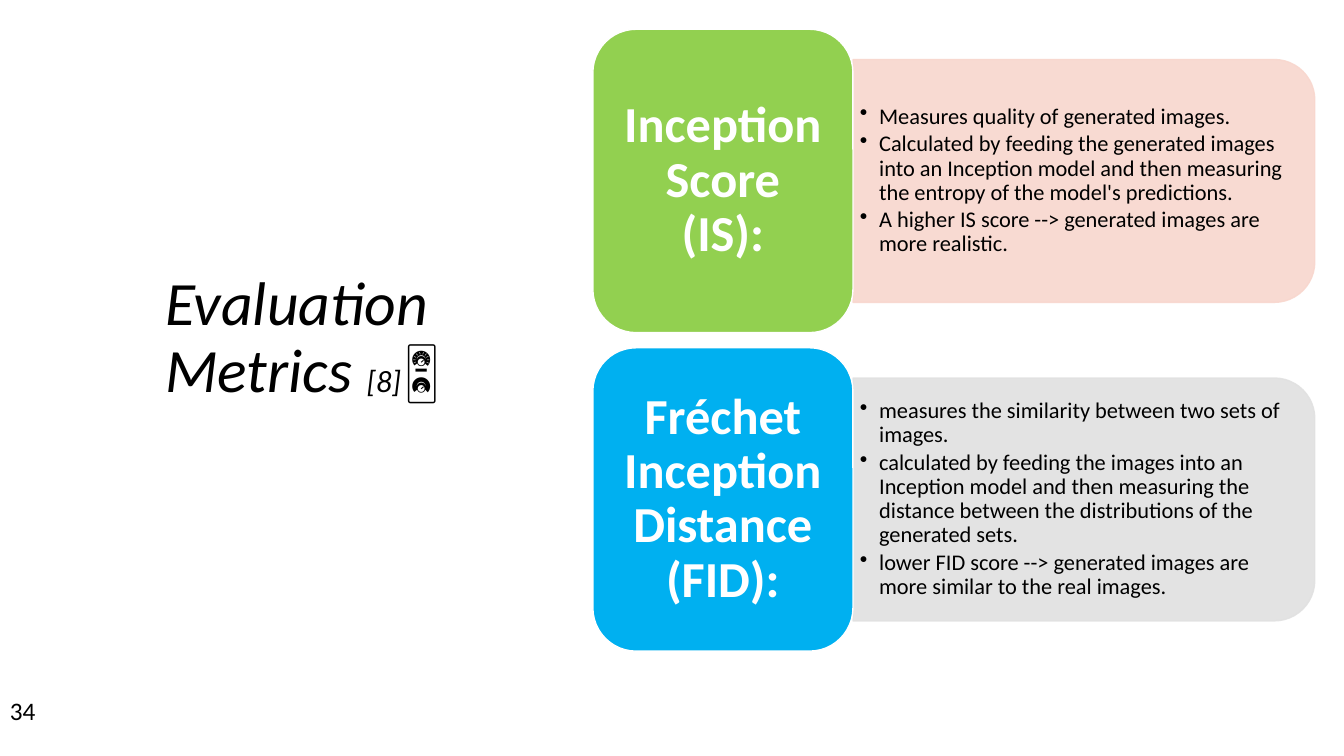
from dataclasses import dataclass

import pptx
import pptx.dml.color
import pptx.enum.shapes
import pptx.enum.text
import pptx.oxml.ns
import pptx.util
from lxml import etree

EMU_PER_PX = 9144  # 100 px to the inch


@dataclass(frozen=True)
class Theme:
    font: str = "Calibri"
    ink: str = "000000"
    paper: str = "FFFFFF"
    title_size: int = 44
    citation_size: int = 22
    name_size: int = 36
    point_size: int = 16
    number_size: int = 18
    line_spacing: float = 0.9
    point_gap: float = 2.4
    panel_alpha: int = 90


@dataclass(frozen=True)
class Metric:
    name: str
    tile_color: str
    panel_color: str
    points: tuple[str, ...]


THEME = Theme()
METRICS = (
    Metric("Inception Score (IS):", "92D050", "F8D7CE", (
        "Measures quality of generated images.",
        "Calculated by feeding the generated images into an Inception model "
        "and then measuring the entropy of the model's predictions.",
        "A higher IS score --> generated images are more realistic.",
    )),
    Metric("Fréchet Inception Distance (FID):", "00B0F0", "E1E1E1", (
        "measures the similarity between two sets of images.",
        "calculated by feeding the images into an Inception model and then "
        "measuring the distance between the distributions of the generated sets.",
        "lower FID score --> generated images are more similar to the real images.",
    )),
)

# Metric rows, in px
ROWS_TOP, ROW_PITCH = 29, 316
TILE_LEFT, TILE_WIDTH, TILE_HEIGHT = 588, 258, 301
PANEL_LEFT, PANEL_WIDTH, PANEL_HEIGHT = TILE_LEFT + TILE_WIDTH, 458, 241
POINTS_WIDTH, POINTS_HEIGHT = 446, 217
BULLET_INDENT = 19


def px(length: float) -> pptx.util.Emu:
    return pptx.util.Emu(round(length * EMU_PER_PX))


def rgb(color: str) -> pptx.dml.color.RGBColor:
    return pptx.dml.color.RGBColor.from_string(color)


def style(font, size: int, color: str = THEME.ink, bold: bool = False,
          italic: bool = False) -> None:
    font.name, font.size = THEME.font, pptx.util.Pt(size)
    font.color.rgb = rgb(color)
    font.bold, font.italic = bold, italic


def set_frame(frame, inset_x: int, inset_y: int, middle: bool = True) -> None:
    frame.word_wrap = True
    frame.margin_left = frame.margin_right = px(inset_x)
    frame.margin_top = frame.margin_bottom = px(inset_y)
    anchor = pptx.enum.text.MSO_ANCHOR
    frame.vertical_anchor = anchor.MIDDLE if middle else anchor.TOP


def add_block(slide, kind, left: float, top: float, width: int, height: int,
              fill: str, line: str):
    block = slide.shapes.add_shape(kind, px(left), px(top), px(width), px(height))
    block.shadow.inherit = False
    block.fill.solid()
    block.fill.fore_color.rgb = rgb(fill)
    block.line.color.rgb = rgb(line)
    block.line.width = pptx.util.Pt(1)
    return block


def add_bullet(paragraph) -> None:
    properties = paragraph._p.get_or_add_pPr()
    properties.set("marL", str(px(BULLET_INDENT)))
    properties.set("indent", str(-px(BULLET_INDENT)))
    bullet = etree.SubElement(properties, pptx.oxml.ns.qn("a:buChar"))
    bullet.set("char", "•")


def add_panel(slide, metric: Metric, middle: float) -> None:
    # A quarter turn swaps width and height about the panel's centre
    center = PANEL_LEFT + PANEL_WIDTH / 2
    panel = add_block(slide, pptx.enum.shapes.MSO_SHAPE.ROUND_2_SAME_RECTANGLE,
                      center - PANEL_HEIGHT / 2, middle - PANEL_WIDTH / 2,
                      PANEL_HEIGHT, PANEL_WIDTH,
                      metric.panel_color, metric.panel_color)
    panel.rotation = 90
    for color in panel.element.spPr.iter(pptx.oxml.ns.qn("a:srgbClr")):
        alpha = etree.SubElement(color, pptx.oxml.ns.qn("a:alpha"))
        alpha.set("val", str(THEME.panel_alpha * 1000))


def add_points(slide, metric: Metric, middle: float) -> None:
    frame = slide.shapes.add_textbox(
        px(PANEL_LEFT), px(middle - POINTS_HEIGHT / 2),
        px(POINTS_WIDTH), px(POINTS_HEIGHT)).text_frame
    set_frame(frame, 7, 3)
    frame.text = "\n".join(metric.points)
    for point in frame.paragraphs:
        add_bullet(point)
        point.line_spacing = THEME.line_spacing
        point.space_after = pptx.util.Pt(THEME.point_gap)
        style(point.runs[0].font, THEME.point_size)


def add_tile(slide, metric: Metric, top: int) -> None:
    tile = add_block(slide, pptx.enum.shapes.MSO_SHAPE.ROUNDED_RECTANGLE,
                     TILE_LEFT, top, TILE_WIDTH, TILE_HEIGHT,
                     metric.tile_color, THEME.paper)
    set_frame(tile.text_frame, 15, 7)
    tile.text_frame.text = metric.name
    name = tile.text_frame.paragraphs[0]
    name.alignment = pptx.enum.text.PP_ALIGN.CENTER
    name.line_spacing = THEME.line_spacing
    style(name.runs[0].font, THEME.name_size, THEME.paper, bold=True)


def add_title(slide) -> None:
    frame = slide.shapes.add_textbox(px(154), px(264), px(341), px(145)).text_frame
    set_frame(frame, 10, 5)
    title = frame.paragraphs[0]
    title.text = "Evaluation\vMetrics "
    title.line_spacing = THEME.line_spacing
    for run in title.runs:
        style(run.font, THEME.title_size, italic=True)
    citation = title.add_run()
    citation.text = "[8]"
    style(citation.font, THEME.citation_size, italic=True)
    knobs = title.add_run()
    knobs.text = "🎛️"
    style(knobs.font, THEME.title_size)


def add_slide_number(slide) -> None:
    frame = slide.shapes.add_textbox(px(0), px(685), px(300), px(40)).text_frame
    set_frame(frame, 10, 5, middle=False)
    frame.text = "34"
    style(frame.paragraphs[0].runs[0].font, THEME.number_size)


def main() -> None:
    deck = pptx.Presentation()
    deck.slide_width, deck.slide_height = px(1333), px(750)
    slide = deck.slides.add_slide(deck.slide_layouts[6])

    # Title and slide number
    add_title(slide)
    add_slide_number(slide)

    # One row per metric
    for row, metric in enumerate(METRICS):
        top = ROWS_TOP + row * ROW_PITCH
        middle = top + TILE_HEIGHT / 2
        add_panel(slide, metric, middle)
        add_points(slide, metric, middle)
        add_tile(slide, metric, top)

    deck.save("out.pptx")


if __name__ == "__main__":
    main()
